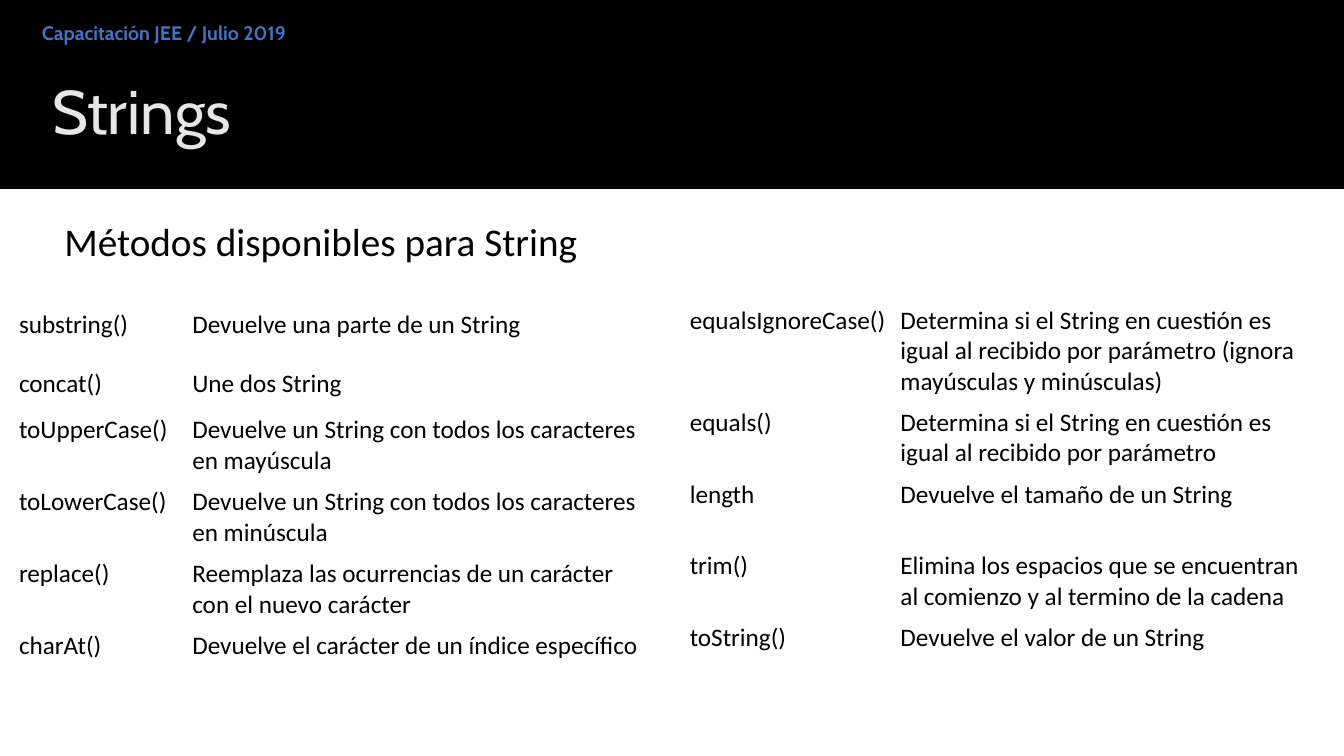
from pptx import Presentation
from pptx.dml.color import RGBColor
from pptx.enum import shapes, text
from pptx.util import Pt

COURSE = "Capacitación JEE / Julio 2019"
TITLE = "Strings"
HEADING = "Métodos disponibles para String"
METHOD_TABLES = [
    {"left": 9.5, "top": 216.7, "columns": (123.8, 334), "rows": [
        ("substring()", "Devuelve una parte de un String", 42.5),
        ("concat()", "Une dos String", 33),
        ("toUpperCase()", "Devuelve un String con todos los caracteres en mayúscula", 51),
        ("toLowerCase()", "Devuelve un String con todos los caracteres en minúscula", 51),
        ("replace()", "Reemplaza las ocurrencias de un carácter con el nuevo carácter", 51),
        ("charAt()", "Devuelve el carácter de un índice específico", 42.5),
    ]},
    {"left": 488.6, "top": 213.8, "columns": (150.5, 307.4), "rows": [
        ("equalsIgnoreCase()", "Determina si el String en cuestión es igual al recibido "
                               "por parámetro (ignora mayúsculas y minúsculas)", 73),
        ("equals()", "Determina si el String en cuestión es igual al recibido por parámetro", 51),
        ("length", "Devuelve el tamaño de un String", 51),
        ("trim()", "Elimina los espacios que se encuentran al comienzo y al termino de la cadena", 51),
        ("toString()", "Devuelve el valor de un String", 51),
    ]},
]
CELL_MARGIN = 4.1


def color(value):
    return RGBColor.from_string(value)


def write(frame, words, size, font, ink, bold=False):
    frame.word_wrap = True
    paragraph = frame.paragraphs[0]
    paragraph.alignment = text.PP_ALIGN.LEFT
    run = paragraph.add_run()
    run.text = words
    run.font.size = Pt(size)
    run.font.name = font
    run.font.bold = bold
    run.font.color.rgb = color(ink)
    return paragraph


def add_methods(slide, left, top, columns, rows):
    height = sum(row[-1] for row in rows)
    methods = slide.shapes.add_table(
        len(rows), len(columns), Pt(left), Pt(top), Pt(sum(columns)), Pt(height)).table
    methods.first_row = methods.horz_banding = False
    for column, width in zip(methods.columns, columns):
        column.width = Pt(width)
    for row, (method, description, row_height) in zip(methods.rows, rows):
        row.height = Pt(row_height)
        for cell, words in zip(row.cells, (method, description)):
            cell.fill.solid()
            cell.fill.fore_color.rgb = color("FFFFFF")
            cell.margin_left = cell.margin_right = Pt(CELL_MARGIN)
            cell.margin_top = cell.margin_bottom = Pt(CELL_MARGIN)
            write(cell.text_frame, words, 18, "Calibri", "000000")


def main():
    deck = Presentation()
    deck.slide_width, deck.slide_height = Pt(960), Pt(540)
    slide = deck.slides.add_slide(deck.slide_layouts[5])

    band = slide.shapes.add_shape(shapes.MSO_SHAPE.RECTANGLE, 0, 0, Pt(960), Pt(135))
    band.shadow.inherit = False
    band.fill.solid()
    band.fill.fore_color.rgb = color("000000")
    band.line.fill.background()
    title = slide.shapes.title
    title._element.addprevious(band._element)

    course = slide.shapes.add_textbox(Pt(30), Pt(17), Pt(432), Pt(18)).text_frame
    course.margin_left = course.margin_right = course.margin_top = 0
    course_line = write(course, COURSE, 14, "Cabin", "4472C4", True)
    course_line.line_spacing = 0.9
    course_line.space_before = Pt(10)

    title.left, title.top, title.width, title.height = Pt(30), Pt(44.6), Pt(900), Pt(75)
    title.text_frame.vertical_anchor = text.MSO_ANCHOR.MIDDLE
    write(title.text_frame, TITLE, 44, "Cabin", "E7E6E6").line_spacing = 0.9

    heading = slide.shapes.add_textbox(Pt(38.9), Pt(152), Pt(467), Pt(75))
    write(heading.text_frame, HEADING, 28, "Calibri", "000000")

    for methods in METHOD_TABLES:
        add_methods(slide, **methods)

    deck.save("out.pptx")


if __name__ == "__main__":
    main()
